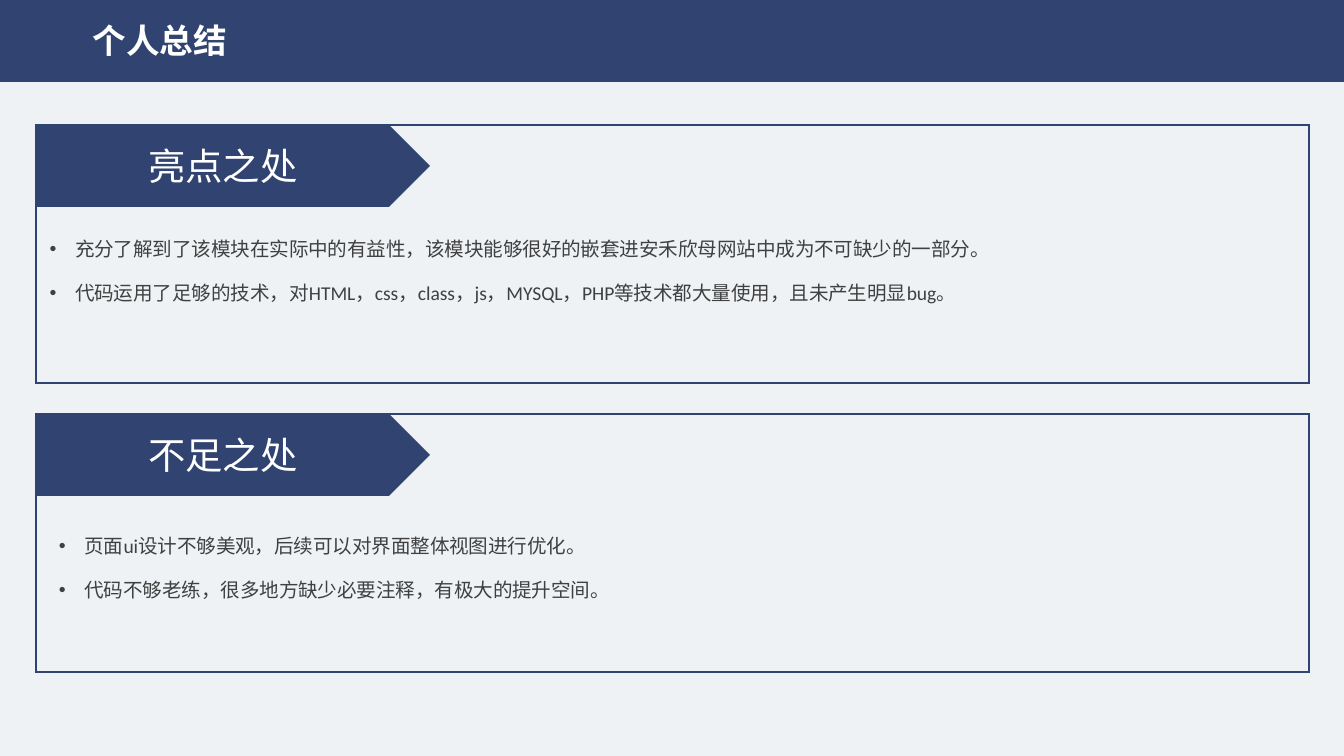
from dataclasses import dataclass

from lxml.etree import SubElement
from pptx import Presentation
from pptx.dml.color import RGBColor
from pptx.enum.shapes import MSO_SHAPE as Shape
from pptx.enum.text import MSO_ANCHOR as Anchor, MSO_AUTO_SIZE as AutoSize, PP_ALIGN as Align
from pptx.oxml.ns import qn
from pptx.util import Inches, Pt


@dataclass(frozen=True)
class Theme:
    navy: RGBColor = RGBColor.from_string("304371")
    paper: RGBColor = RGBColor.from_string("EEF2F5")
    white: RGBColor = RGBColor.from_string("FFFFFF")
    ink: RGBColor = RGBColor.from_string("404040")
    chinese: str = "Noto Sans CJK SC"
    latin: str = "Calibri"
    title: float = 18
    heading: float = 20
    body: float = 10.5


theme = Theme()
deck = Presentation()
deck.slide_width = Inches(10)
deck.slide_height = Inches(10 * 9 / 16)
page = deck.slides.add_slide(deck.slide_layouts[6])
page.background.fill.solid()
page.background.fill.fore_color.rgb = theme.paper


def add_block(kind, left, top, width, height, fill=None, line=None):
    block = page.shapes.add_shape(kind, Inches(left), Inches(top), Inches(width), Inches(height))
    block.shadow.inherit = False
    if fill is None:
        block.fill.background()
    else:
        block.fill.solid()
        block.fill.fore_color.rgb = fill
    if line is None:
        block.line.fill.background()
    else:
        block.line.color.rgb = line
        block.line.width = Pt(1)
        SubElement(block.line._get_or_add_ln(), qn("a:miter"), lim="800000")
    return block


def write(text, box, size, color, font=theme.chinese, bold=False, align=Align.CENTER,
          anchor=Anchor.TOP, wrap=True, grow=True, bullet=False):
    frame = box.text_frame
    frame.word_wrap = wrap
    frame.auto_size = AutoSize.SHAPE_TO_FIT_TEXT if grow else AutoSize.NONE
    frame.vertical_anchor = anchor
    para = frame.paragraphs[0]
    para.alignment = align
    if bullet:
        para.line_spacing = 1.3
        para.space_before = Pt(6)
        layout = para._p.get_or_add_pPr()
        layout.set("marL", str(Inches(0.19)))
        layout.set("indent", str(-Inches(0.19)))
        SubElement(layout, qn("a:buFont"), typeface="Arial")
        SubElement(layout, qn("a:buChar"), char="•")
    span = para.add_run()
    span.text = text
    span.font.name, span.font.size, span.font.bold = font, Pt(size), bold
    span.font.color.rgb = color
    SubElement(span._r.get_or_add_rPr(), qn("a:ea"), typeface=theme.chinese)


add_block(Shape.RECTANGLE, 0, 0, 10, 0.61, fill=theme.navy)
title = page.shapes.add_textbox(Inches(0.59), Inches(0.1), Inches(1.2), Inches(0.4))
write("个人总结", title, theme.title, theme.white, bold=True, wrap=False)

sections = [
    ("亮点之处", 0.93, 0.27, 1.66, [
        "充分了解到了该模块在实际中的有益性，该模块能够很好的嵌套进安禾欣母网站中成为不可缺少的一部分。",
        "代码运用了足够的技术，对HTML，css，class，js，MYSQL，PHP等技术都大量使用，且未产生明显bug。",
    ]),
    ("不足之处", 3.08, 0.34, 3.87, [
        "页面ui设计不够美观，后续可以对界面整体视图进行优化。",
        "代码不够老练，很多地方缺少必要注释，有极大的提升空间。",
    ]),
]
for heading, top, text_left, text_top, points in sections:
    add_block(Shape.RECTANGLE, 0.27, top, 9.47, 1.92, line=theme.navy)
    banner = add_block(Shape.PENTAGON, 0.27, top, 2.93, 0.61, fill=theme.navy)
    write(heading, banner, theme.heading, theme.white, anchor=Anchor.MIDDLE, grow=False)
    for row, point in enumerate(points):
        box = page.shapes.add_textbox(
            Inches(text_left), Inches(text_top + row * 0.33), Inches(9.21), Inches(0.33))
        write(point, box, theme.body, theme.ink, font=theme.latin, align=Align.LEFT, bullet=True)

deck.save("out.pptx")
